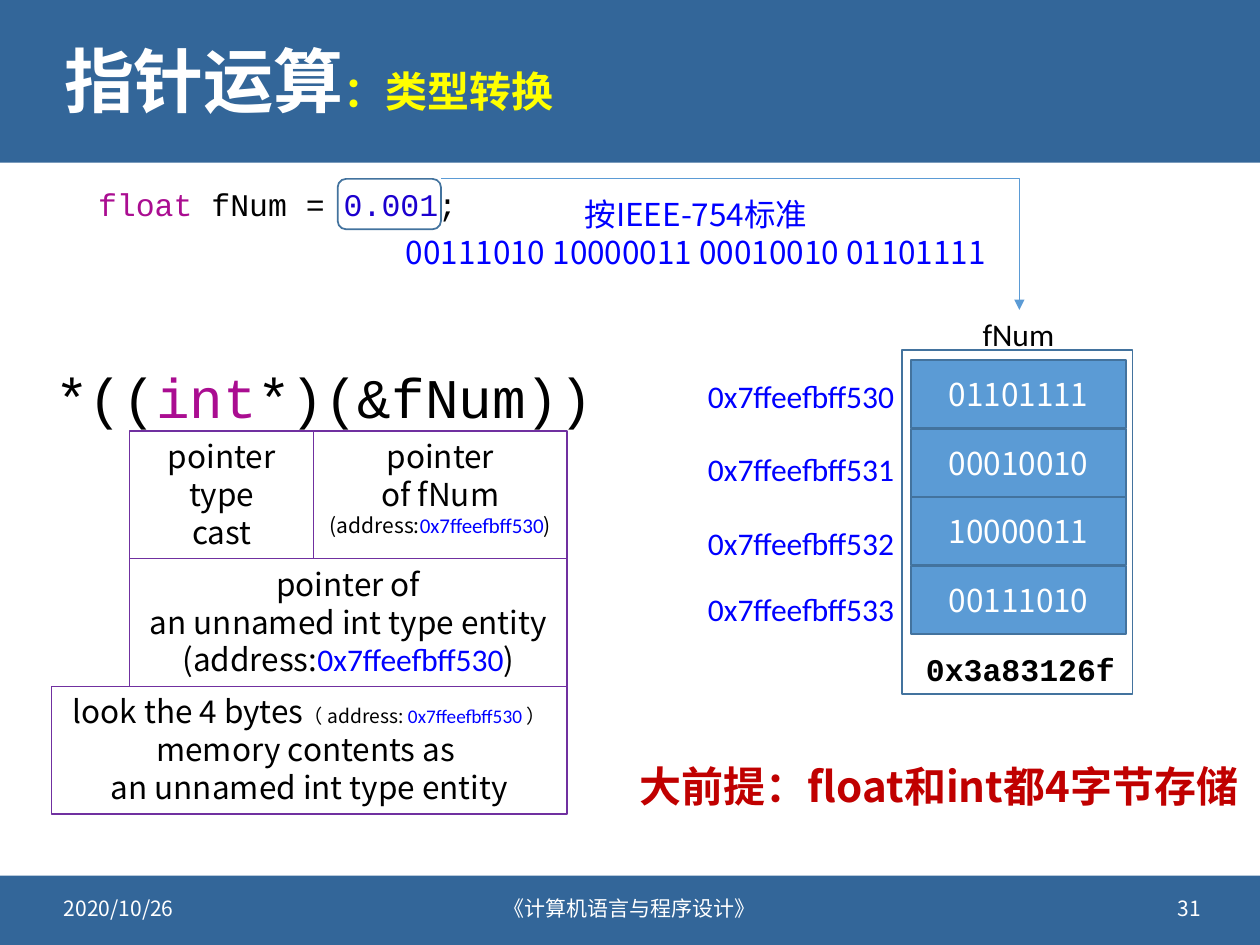
from lxml import etree
from pptx import Presentation
from pptx.dml.color import RGBColor
from pptx.enum.shapes import MSO_CONNECTOR, MSO_SHAPE
from pptx.enum.text import MSO_ANCHOR, MSO_AUTO_SIZE, PP_ALIGN
from pptx.oxml.ns import qn
from pptx.util import Inches, Pt

LEFT, CENTER, RIGHT = PP_ALIGN.LEFT, PP_ALIGN.CENTER, PP_ALIGN.RIGHT
TOP, MIDDLE = MSO_ANCHOR.TOP, MSO_ANCHOR.MIDDLE
RECTANGLE, ROUNDED = MSO_SHAPE.RECTANGLE, MSO_SHAPE.ROUNDED_RECTANGLE
ELBOW = MSO_CONNECTOR.ELBOW
GROW = MSO_AUTO_SIZE.SHAPE_TO_FIT_TEXT

SANS, LATIN, MONO = "Noto Sans CJK SC", "Calibri", "Courier New"
COLORS = {
    "band": "336699", "white": "FFFFFF", "black": "000000", "yellow": "FFFF00",
    "blue": "0000FF", "red": "C00000", "keyword": "AA0D91", "number": "1C00CF",
    "cell": "5B9BD5", "outline": "43739E", "purple": "7030A0",
}
ADDRESS = "0x7ffeefbff530"


def color(name):
    return RGBColor.from_string(COLORS[name])


def run(text, size=18, font=SANS, ink="black", bold=False):
    return text, size, font, ink, bold


def write(shape, paragraphs, align=LEFT, anchor=TOP, wrap=True, spacing=None):
    frame = shape.text_frame
    frame.word_wrap = wrap
    frame.vertical_anchor = anchor
    if not wrap:
        frame.auto_size = GROW
    for index, runs in enumerate(paragraphs):
        paragraph = frame.paragraphs[0] if index == 0 else frame.add_paragraph()
        paragraph.alignment = align
        if spacing:
            paragraph.line_spacing = spacing
        for text, size, font, ink, bold in runs:
            piece = paragraph.add_run()
            piece.text = text
            piece.font.size = Pt(size)
            piece.font.name = font
            piece.font.bold = bold
            piece.font.color.rgb = color(ink)
            east_asian = etree.SubElement(piece.font._element, qn("a:ea"))
            east_asian.set("typeface", font)


def add_text(slide, left, top, width, height, paragraphs, **layout):
    shape = slide.shapes.add_textbox(
        Inches(left), Inches(top), Inches(width), Inches(height))
    write(shape, paragraphs, **layout)


def add_box(slide, left, top, width, height, fill=None, line=None, weight=1,
            kind=RECTANGLE, paragraphs=(), anchor=TOP):
    shape = slide.shapes.add_shape(
        kind, Inches(left), Inches(top), Inches(width), Inches(height))
    shape.shadow.inherit = False
    if fill:
        shape.fill.solid()
        shape.fill.fore_color.rgb = color(fill)
    else:
        shape.fill.background()
    if line:
        shape.line.color.rgb = color(line)
        shape.line.width = Pt(weight)
    else:
        shape.line.fill.background()
    write(shape, paragraphs, align=CENTER, anchor=anchor)


def add_arrow(slide, left, top, width, height):
    arrow = slide.shapes.add_connector(
        ELBOW, Inches(left), Inches(top), Inches(left + width), Inches(top + height))
    arrow.line.color.rgb = color("cell")
    arrow.line.width = Pt(0.5)
    properties = arrow._element.spPr
    properties.find(qn("a:prstGeom")).set("prst", "bentConnector2")
    tail = etree.SubElement(properties.find(qn("a:ln")), qn("a:tailEnd"))
    tail.set("type", "triangle")
    etree.SubElement(properties, qn("a:effectLst"))


def add_header(slide, left, top, width, height):
    add_box(slide, left, top, width, height, fill="band")
    title = [run("指针运算", 40, ink="white", bold=True),
             run("：类型转换", 24, ink="yellow", bold=True)]
    add_text(slide, left + 0.41, top + 0.18, width - 0.81, 0.99, [title],
             anchor=MIDDLE, spacing=0.9)


def add_footer(slide, left, top, width, height):
    add_box(slide, left, top, width, height, fill="band")
    entries = [(0.41, 2.4, "2020/10/26", LEFT),
               (3.2, 3.6, "《计算机语言与程序设计》", CENTER),
               (7.23, 2.4, "31", RIGHT)]
    for offset, entry_width, text, align in entries:
        add_text(slide, left + offset, top + 0.06, entry_width, 0.4,
                 [[run(text, 12, ink="white")]], align=align, anchor=MIDDLE)


def add_declaration(slide, left, top, width, height):
    code = [run("float ", font=MONO, ink="keyword"), run("fNum = ", font=MONO),
            run("0.001", font=MONO, ink="number"), run(";", font=MONO)]
    add_text(slide, left, top, 3.1, 0.4, [code], wrap=False)
    add_box(slide, left + 2, top, 0.82, 0.4, line="outline", kind=ROUNDED)
    lines = ["按IEEE-754标准", "00111010 10000011 00010010 01101111"]
    add_text(slide, left + 2.28, top + 0.08, 5.13, 0.71,
             [[run(line, ink="blue")] for line in lines], align=CENTER)
    add_arrow(slide, left + 2.82, top, width - 2.82, height)


def add_memory(slide, left, top, width, height):
    cells = ["01101111", "00010010", "10000011", "00111010"]
    address_offsets = [0.16, 0.74, 1.33, 1.85]
    cell_height = 0.54
    pitch = (2.17 - cell_height) / (len(cells) - 1)
    add_text(slide, left + 0.54, top - 0.33, 0.78, 0.4,
             [[run("fNum", font=LATIN)]], wrap=False)
    for index, (bits, offset) in enumerate(zip(cells, address_offsets)):
        add_box(slide, left + 0.07, top + 0.08 + index * pitch, 1.71, cell_height,
                fill="cell", line="outline", anchor=MIDDLE,
                paragraphs=[[run(bits, ink="white")]])
        label = run(f"0x7ffeefbff53{index}", font=LATIN, ink="blue")
        add_text(slide, left - 1.64, top + offset, 1.71, 0.4, [[label]], wrap=False)
    add_text(slide, left + 0.09, top + 2.33, 1.73, 0.4,
             [[run("0x3a83126f", font=MONO, bold=True)]], wrap=False)
    add_box(slide, left, top, width, height, line="outline")


def add_expression(slide, left, top, width, height):
    code = [run("*((", 32, MONO), run("int", 32, MONO, "keyword"),
            run("*)(&fNum))", 32, MONO)]
    add_text(slide, left, top, width, 0.64, [code], wrap=False)

    def address(size, text=ADDRESS):
        return run(text, size, LATIN, "blue")

    row = (height - 0.59) / 3
    first = top + 0.59
    right = left + 4.16
    entity = [run("an unnamed int type entity")]
    steps = [
        (2.01, 2.01, 0, [[run("pointer")], [run("of fNum")],
                         [run("(address:", 12), address(12), run(")", 12)]]),
        (3.47, 1.46, 0, [[run("pointer")], [run("type")], [run("cast")]]),
        (3.47, 3.47, 1, [[run("pointer of")], entity,
                         [run("(address:"), address(18), run(")")]]),
        (4.09, 4.09, 2, [[run("look the 4 bytes"), run("（ address:", 11),
                          address(11, f" {ADDRESS} "), run("） ", 11),
                          run("memory contents as ")], entity]),
    ]
    for reach, box_width, level, paragraphs in steps:
        add_box(slide, right - reach, first + level * row, box_width, row,
                line="purple", weight=0.75, paragraphs=paragraphs)


def add_premise(slide, left, top, width, height):
    text = run("大前提：float和int都4字节存储", 24, ink="red", bold=True)
    add_text(slide, left, top, width, height, [[text]])


def main():
    presentation = Presentation()
    presentation.slide_width = Inches(10)
    presentation.slide_height = Inches(7.5)
    slide = presentation.slides.add_slide(presentation.slide_layouts[6])
    add_header(slide, 0, 0, 10, 1.29)
    add_footer(slide, 0, 6.95, 10, 0.55)
    add_declaration(slide, 0.68, 1.42, 7.41, 1.04)
    add_memory(slide, 7.16, 2.78, 1.83, 2.73)
    add_expression(slide, 0.34, 2.83, 4.52, 3.63)
    add_premise(slide, 4.98, 5.99, 5.02, 0.5)
    presentation.save("out.pptx")


if __name__ == "__main__":
    main()
